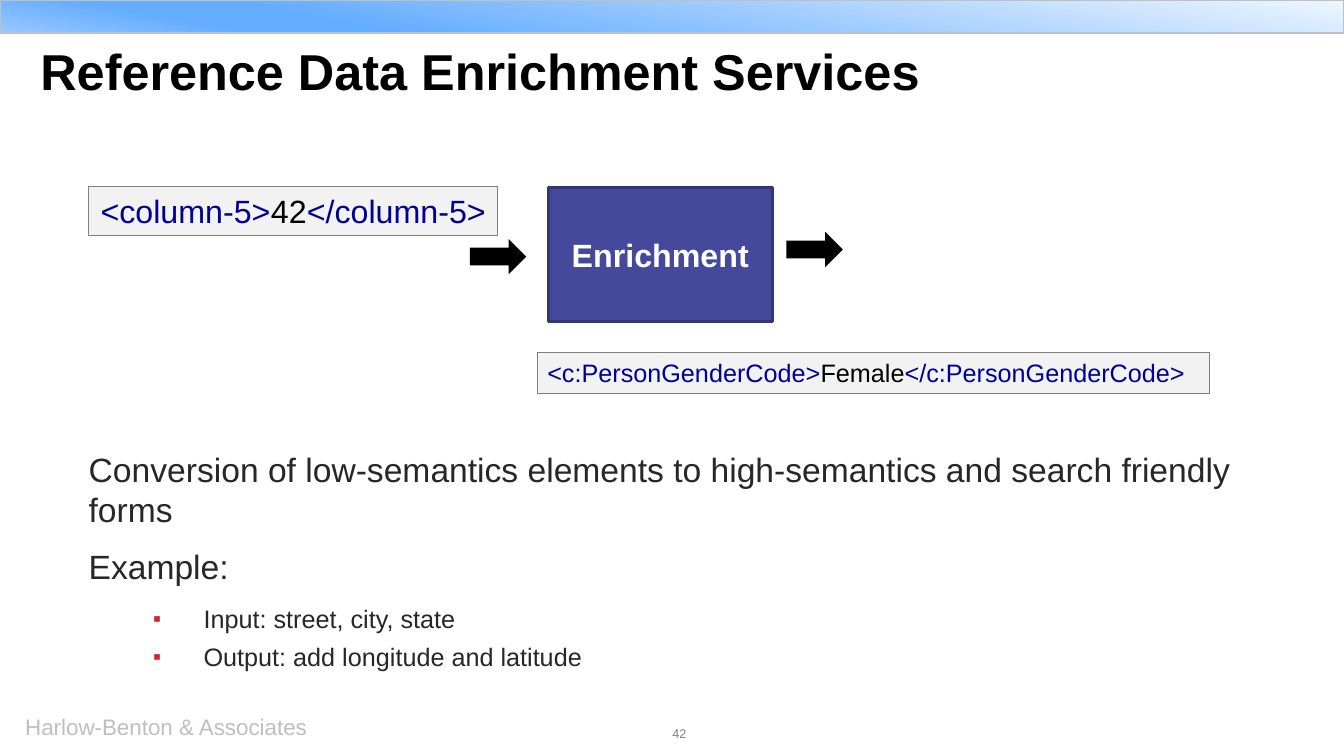
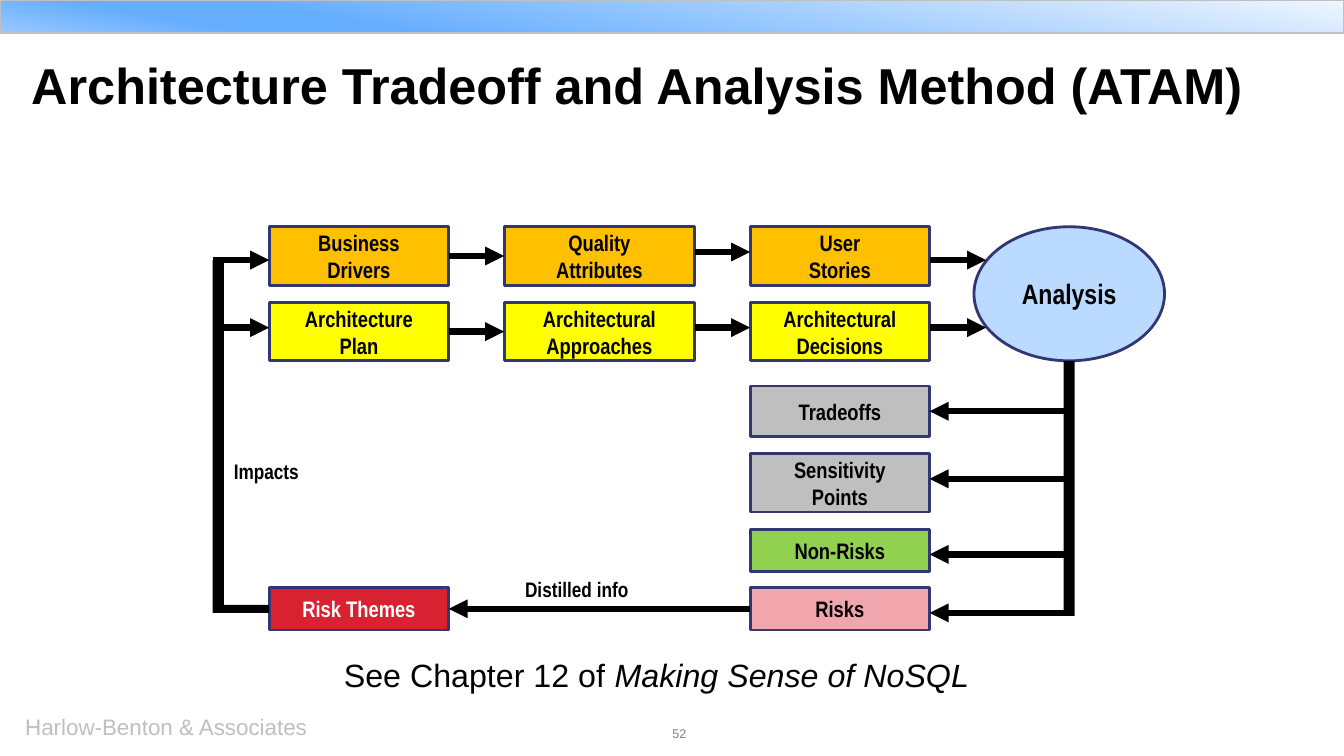
from collections import namedtuple

from lxml import etree
from pptx import Presentation
from pptx.dml.color import RGBColor
from pptx.enum.shapes import MSO_CONNECTOR, MSO_SHAPE
from pptx.enum.text import MSO_ANCHOR, MSO_AUTO_SIZE, PP_ALIGN
from pptx.oxml.ns import qn
from pptx.util import Inches, Pt

RECTANGLE = MSO_SHAPE.RECTANGLE
ELLIPSE = MSO_SHAPE.OVAL
RIGHT_ARROW = MSO_SHAPE.RIGHT_ARROW
STRAIGHT = MSO_CONNECTOR.STRAIGHT
TOP, MIDDLE = MSO_ANCHOR.TOP, MSO_ANCHOR.MIDDLE
LEFT, CENTER = PP_ALIGN.LEFT, PP_ALIGN.CENTER
NO_AUTOFIT = MSO_AUTO_SIZE.NONE
LEFT_SIDE, RIGHT_SIDE = 1, 3

COLORS = {
    "ink": "010101", "body": "272727", "white": "FFFFFF", "footer": "BFBFBF",
    "number": "808080", "band_line": "C0C0C0", "outline": "323673",
    "indigo": "44499C", "code_fill": "F2F2F2", "code_line": "808080",
    "tag": "000096", "value": "000000", "orange": "FFC000", "yellow": "FFFF00",
    "sky": "BBDAFF", "gray": "BFBFBF", "green": "92D050", "pink": "F1A5AC",
    "red": "D92231",
}
BAND_STOPS = [(0, "EEF6FF"), (74, "65ADFF"), (83, "65ADFF"), (100, "98C8FF")]
SANS, NARROW = "Arial", "Arial Narrow"
WIDTH, HEIGHT = 13.33, 7.5
COMPANY = "Harlow-Benton & Associates"

Box = namedtuple("Box", "left top width height")


def inside(region, left, top, width, height):
    return Box(region.left + left, region.top + top, width, height)


def color(name):
    return RGBColor.from_string(COLORS[name])


def style_font(font, size, name="ink", face=SANS, bold=False):
    font.size = Pt(size)
    font.name = face
    font.bold = bold
    font.color.rgb = color(name)


def set_frame(frame, margins=(0, 0), anchor=TOP, wrap=True):
    frame.margin_left = frame.margin_right = Inches(margins[0])
    frame.margin_top = frame.margin_bottom = Inches(margins[1])
    frame.vertical_anchor = anchor
    frame.word_wrap = wrap
    frame.auto_size = NO_AUTOFIT


def write(frame, text, align=LEFT, **font):
    frame.text = text
    for para in frame.paragraphs:
        para.alignment = align
        style_font(para.font, **font)


def add_text(page, box, text, margins=(0, 0), wrap=True, **font):
    shape = page.shapes.add_textbox(*map(Inches, box))
    set_frame(shape.text_frame, margins, wrap=wrap)
    write(shape.text_frame, text, **font)
    return shape


def add_block(page, kind, box, fill, line=None, weight=2):
    shape = page.shapes.add_shape(kind, *map(Inches, box))
    shape.shadow.inherit = False
    if fill:
        shape.fill.solid()
        shape.fill.fore_color.rgb = color(fill)
    if line:
        shape.line.color.rgb = color(line)
        shape.line.width = Pt(weight)
    else:
        shape.line.fill.background()
    return shape


def add_band(page):
    band = add_block(page, RECTANGLE, Box(0, 0, WIDTH, 0.33), None, "band_line", 1)
    band.fill.gradient()
    band.fill.gradient_angle = 260
    stops = band.fill._fill._gradFill.find(qn("a:gsLst"))
    for stop in list(stops):
        stops.remove(stop)
    for percent, value in BAND_STOPS:
        stop = etree.SubElement(stops, qn("a:gs"), pos=str(percent * 1000))
        etree.SubElement(stop, qn("a:srgbClr"), val=value)


def add_page(deck, title, title_box, number):
    page = deck.slides.add_slide(deck.slide_layouts[5])
    add_text(page, Box(0.25, 7.08, 4, 0.27), COMPANY, size=16, name="footer")
    add_text(page, Box(6.67, 7.2, 5.53, 0.3), number, size=9, name="number")
    add_band(page)
    heading = page.shapes.title
    heading.left, heading.top, heading.width, heading.height = map(Inches, title_box)
    set_frame(heading.text_frame)
    write(heading.text_frame, title, size=36, bold=True)
    heading.text_frame.paragraphs[0].line_spacing = Pt(40)
    return page


def add_code(page, box, tag, value, size, align):
    shape = add_block(page, RECTANGLE, box, "code_fill", "code_line", 0.75)
    set_frame(shape.text_frame, (0.1, 0.05), wrap=False)
    para = shape.text_frame.paragraphs[0]
    para.alignment = align
    style_font(para.font, size)
    parts = [(f"<{tag}>", "tag"), (value, "value"), (f"</{tag}>", "tag")]
    for text, name in parts:
        span = para.add_run()
        span.text = text
        span.font.color.rgb = color(name)


def add_enrichment(page, region):
    service = add_block(page, RECTANGLE, inside(region, 4.56, 0.01, 2.22, 1.33),
                        "indigo", "outline")
    set_frame(service.text_frame, (0.1, 0.05), MIDDLE)
    write(service.text_frame, "Enrichment", CENTER, size=23, name="white", bold=True)
    add_code(page, inside(region, 0, 0, 4.06, 0.49), "column-5", "42", 23, CENTER)
    add_code(page, inside(region, 4.45, 1.65, 6.67, 0.4),
             "c:PersonGenderCode", "Female", 18, LEFT)
    for left, top in [(3.78, 0.52), (6.92, 0.45)]:
        add_block(page, RIGHT_ARROW, inside(region, left, top, 0.56, 0.35), "ink")


def add_bullet(para):
    props = para._p.get_or_add_pPr()
    props.set("marL", str(Inches(1.14)))
    props.set("indent", str(Inches(-0.5)))
    tint = etree.SubElement(props, qn("a:buClr"))
    etree.SubElement(tint, qn("a:srgbClr"), val=COLORS["red"])
    etree.SubElement(props, qn("a:buSzPct"), val="90000")
    etree.SubElement(props, qn("a:buFont"), typeface=SANS)
    etree.SubElement(props, qn("a:buChar"), char="▪")


def add_body(page, box, lines):
    frame = page.shapes.add_textbox(*map(Inches, box)).text_frame
    set_frame(frame, (0.13, 0.06))
    frame.text = "\n".join(text for text, bulleted in lines)
    for index, (para, (text, bulleted)) in enumerate(zip(frame.paragraphs, lines)):
        if bulleted:
            add_bullet(para)
        para.space_before = Pt(6 if index else 0)
        para.space_after = Pt(0 if bulleted else 6)
        style_font(para.font, 18 if bulleted else 24, "body")


def add_arrow(page, region, start, end, source=None, target=None,
              sides=(RIGHT_SIDE, LEFT_SIDE)):
    points = [Inches(value) for x, y in (start, end)
              for value in (region.left + x, region.top + y)]
    arrow = page.shapes.add_connector(STRAIGHT, *points)
    if source:
        arrow.begin_connect(source, sides[0])
    if target:
        arrow.end_connect(target, sides[1])
    arrow.line.color.rgb = color("ink")
    arrow.line.width = Pt(4.5)
    etree.SubElement(arrow.line._get_or_add_ln(), qn("a:tailEnd"), type="triangle")
    etree.SubElement(arrow._element.spPr, qn("a:effectLst"))


def add_node(page, box, text, fill, kind=RECTANGLE, size=16, name="ink", margin=0.1):
    node = add_block(page, kind, box, fill, "outline")
    set_frame(node.text_frame, (margin, 0.05), MIDDLE)
    write(node.text_frame, text, CENTER, size=size, name=name, face=NARROW, bold=True)
    return node


def add_tradeoff_flow(page, region):
    columns = [(0.78, 1.78), (3.11, 1.89), (5.55, 1.78)]
    first, second, third = [left for left, width in columns]
    first_end, second_end, third_end = [left + width for left, width in columns]
    rows = [
        (0.25, "orange", ["Business\nDrivers", "Quality\nAttributes", "User\nStories"]),
        (1, "yellow", ["Architecture\nPlan", "Architectural\nApproaches",
                       "Architectural\nDecisions"]),
    ]
    outcomes = [
        ("Tradeoffs", 1.83, 0.5, "gray", 2.08),
        ("Sensitivity\nPoints", 2.5, 0.58, "gray", 2.75),
        ("Non-Risks", 3.25, 0.42, "green", 3.5),
        ("Risks", 3.83, 0.42, "pink", 4.08),
    ]
    trunk, rail, bar = 8.66, 0.22, 0.11

    add_node(page, inside(region, 7.77, 0.25, 1.89, 1.33), "Analysis", "sky",
             ELLIPSE, 20, margin=0)
    for top, fill, labels in rows:
        nodes = [add_node(page, inside(region, left, top, width, 0.58), label, fill)
                 for (left, width), label in zip(columns, labels)]
        edge = 0.58 if top < 1 else 1.25
        middle = top + 0.29
        add_arrow(page, region, (first_end, middle), (second, middle), *nodes[:2])
        add_arrow(page, region, (second_end, top + 0.25), (third, top + 0.25))
        add_arrow(page, region, (third_end, edge), (7.89, edge))
        add_arrow(page, region, (rail, edge), (first, edge))

    add_block(page, RECTANGLE, inside(region, trunk, 1.58, bar, 2.53), "ink")
    for label, top, height, fill, level in outcomes:
        outcome = add_node(page, inside(region, third, top, 1.78, height), label, fill)
        centered = abs(top + height / 2 - level) < 0.01
        add_arrow(page, region, (trunk, level), (third_end, level),
                  target=outcome if centered else None, sides=(LEFT_SIDE, RIGHT_SIDE))

    themes = add_node(page, inside(region, first, 3.83, 1.78, 0.42), "Risk Themes",
                      "red", name="white")
    add_arrow(page, region, (third, 4.04), (first_end, 4.04), outcome, themes,
              (LEFT_SIDE, RIGHT_SIDE))
    add_block(page, RECTANGLE, inside(region, rail, 0.58, bar, 3.42), "ink")
    add_block(page, RECTANGLE, inside(region, rail, 4, 0.56, 0.08), "ink")
    for text, left, top, width in [("Distilled info", 3.22, 3.67, 1.24),
                                   ("Impacts", 0.33, 2.5, 0.85)]:
        add_text(page, inside(region, left, top, width, 0.35), text, (0.1, 0.05),
                 False, size=15, face=NARROW, bold=True)


def add_reference(page, box, lead, book):
    shape = add_text(page, box, lead, wrap=False, size=23)
    span = shape.text_frame.paragraphs[0].add_run()
    span.text = book
    span.font.italic = True


def build_enrichment_page(deck):
    page = add_page(deck, "Reference Data Enrichment Services",
                    Box(0.4, 0.44, 12.5, 0.64), "42")
    add_body(page, Box(0.75, 4.39, 12, 2.33), [
        ("Conversion of low-semantics elements to high-semantics and search "
         "friendly forms", False),
        ("Example:", False),
        ("Input: street, city, state", True),
        ("Output: add longitude and latitude", True),
    ])
    add_enrichment(page, Box(0.88, 1.85, 11.12, 2.05))


def build_tradeoff_page(deck):
    page = add_page(deck, "Architecture Tradeoff and Analysis Method (ATAM)",
                    Box(0.31, 0.58, 12.5, 0.64), "52")
    add_tradeoff_flow(page, Box(1.89, 2, 9.78, 4.42))
    add_reference(page, Box(3.41, 6.5, 6.31, 0.39),
                  "See Chapter 12 of ", "Making Sense of NoSQL")


def main():
    deck = Presentation()
    deck.slide_width, deck.slide_height = Inches(WIDTH), Inches(HEIGHT)
    build_enrichment_page(deck)
    build_tradeoff_page(deck)
    deck.save("out.pptx")


if __name__ == "__main__":
    main()
